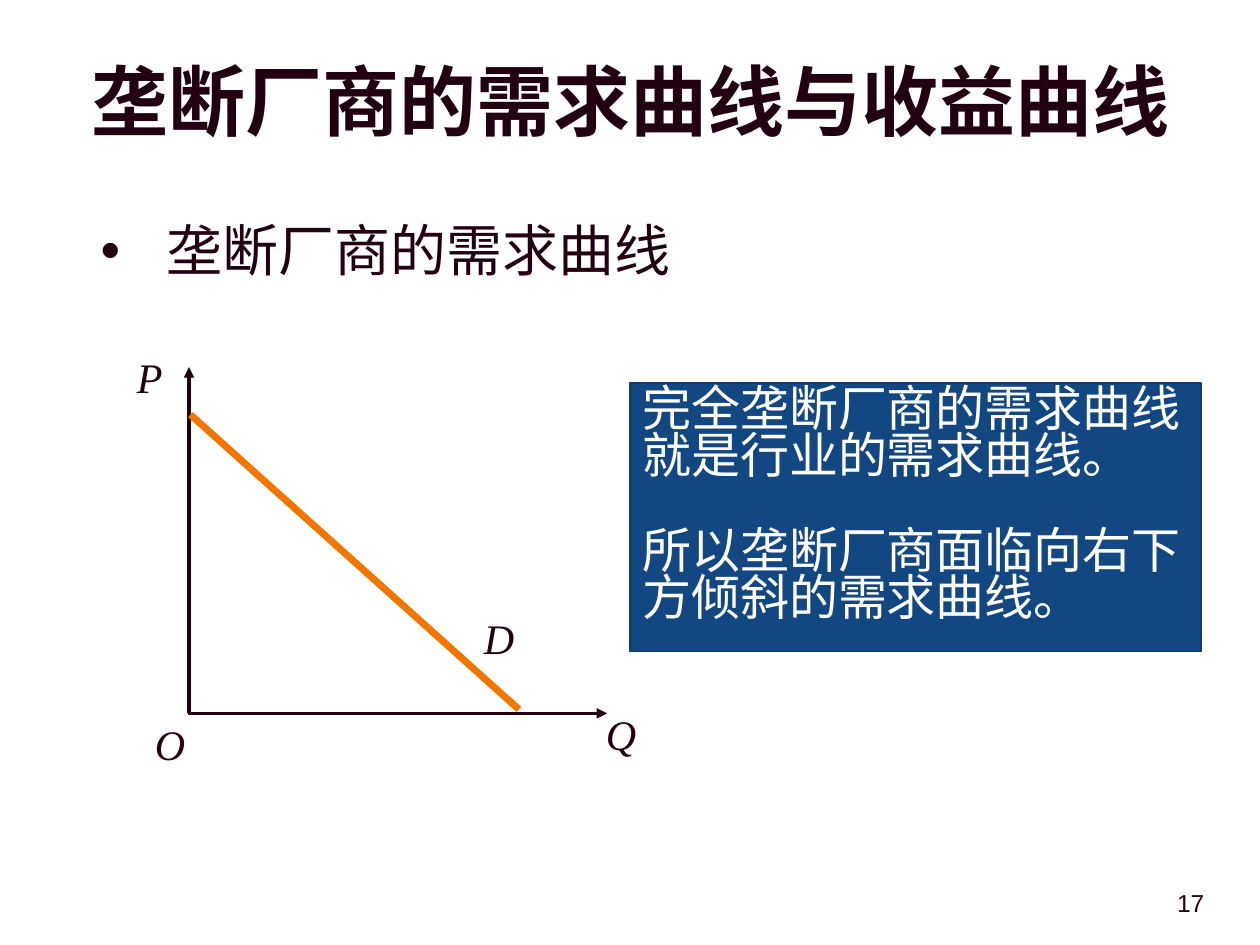
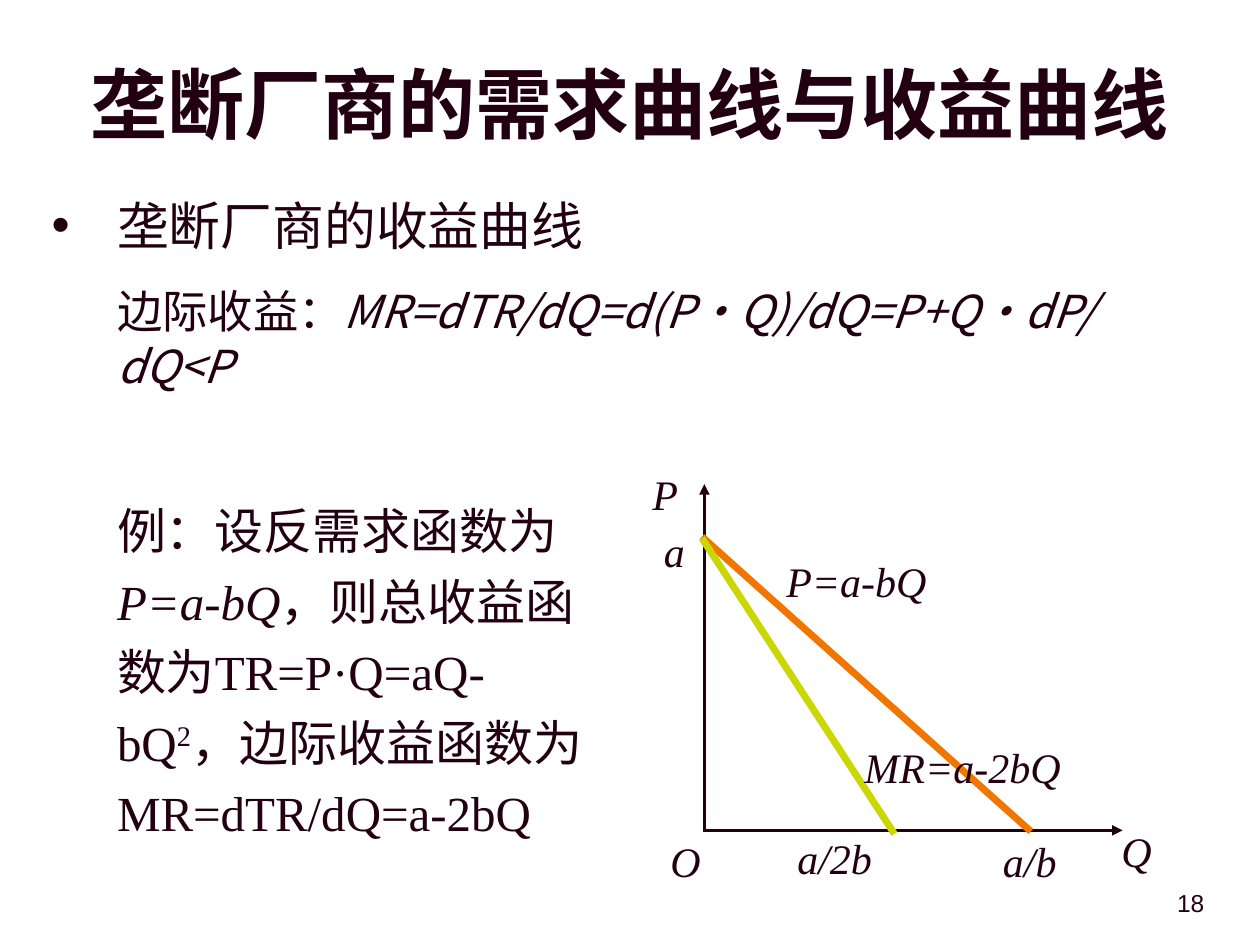
import lxml.etree
import pptx
import pptx.dml.color
import pptx.enum.shapes
import pptx.enum.text
import pptx.oxml.ns
import pptx.util

Cm, Pt = pptx.util.Cm, pptx.util.Pt
color = pptx.dml.color.RGBColor.from_string
qn = pptx.oxml.ns.qn
ALIGN = pptx.enum.text.PP_ALIGN

# Shared colours and text styles
INK, ORANGE, LIME, BLUE, NAVY, WHITE = "220011", "F07600", "CAD704", "134781", "0F3A68", "FFFFFF"
CJK = "Noto Sans CJK SC"
TITLE = "垄断厂商的需求曲线与收益曲线"
TITLE_FONT = {"name": "Arial", "size": Pt(44), "bold": True}
NUMBER_FONT = {"name": "Arial", "size": Pt(14)}
LABEL_FONT = {"name": "Times New Roman", "size": Pt(24), "italic": True}
BODY_FONT = {"name": CJK, "size": Pt(32)}
NOTE_FONT = {"name": CJK, "size": Pt(28)}
EXAMPLE_FONT = {"name": "Times New Roman", "size": Pt(28)}
LABEL_FORMAT = {"alignment": ALIGN.CENTER, "line_spacing": 1.2, "space_before": Pt(15)}
INDENT = Cm(1.32)


def write_text(shape, paragraphs, font, ink=INK, wrap=True):
    """Each paragraph is a format dict and a list of (text, font changes)."""
    frame = shape.text_frame
    frame.word_wrap = wrap
    frame.auto_size = pptx.enum.text.MSO_AUTO_SIZE.NONE
    for index, (paragraph_format, runs) in enumerate(paragraphs):
        paragraph = frame.add_paragraph() if index else frame.paragraphs[0]
        for name, value in paragraph_format.items():
            setattr(paragraph, name, value)
        for text, changes in runs:
            run = paragraph.add_run()
            run.text = text
            for name, value in {**font, **changes}.items():
                setattr(run.font, name, value)
            run.font.color.rgb = color(ink)
            properties = run._r.get_or_add_rPr()
            lxml.etree.SubElement(properties, qn("a:ea")).set("typeface", CJK)
    return frame.paragraphs


def add_line(slide, start, end, ink, width, arrow=False):
    points = [Cm(value) for value in (*start, *end)]
    line = slide.shapes.add_connector(pptx.enum.shapes.MSO_CONNECTOR.STRAIGHT, *points)
    line.line.color.rgb = color(ink)
    line.line.width = Pt(width)
    if arrow:
        outline = line.line._get_or_add_ln()
        lxml.etree.SubElement(outline, qn("a:tailEnd")).set("type", "triangle")
    lxml.etree.SubElement(line._element.spPr, qn("a:effectLst"))


presentation = pptx.Presentation()
presentation.slide_width, presentation.slide_height = Cm(25.4), Cm(19.05)

# Content that differs: title box, page number, origin, curves, labels, body
pages = [
    {
        "title": (1.4, 0.64, 22.63, 2.74),
        "number": "17",
        "origin": (3.78, 14.38),
        "curves": [((3.84, 8.36), (10.46, 14.3), ORANGE)],
        "labels": [("D", 9.5, 12.01, 1.12)],
        "body": (1.78, 4.37, 12.5, 12.7),
        "paragraphs": [
            ({"line_spacing": 0.9, "space_before": Pt(18)}, [("垄断厂商的需求曲线", {})]),
        ],
    },
    {
        "title": (1.3, 0.71, 22.81, 2.74),
        "number": "18",
        "origin": (14.17, 16.74),
        "curves": [
            ((14.15, 10.82), (20.78, 16.76), ORANGE),
            ((14.15, 10.85), (18.03, 16.81), LIME),
        ],
        "labels": [
            ("P=a-bQ", 15.6, 10.87, 3.33),
            ("a", 13.06, 10.26, 1.07),
            ("a/b", 19.81, 16.51, 1.9),
            ("MR=a-2bQ", 17.17, 14.63, 4.47),
            ("a/2b", 15.77, 16.46, 2.11),
        ],
        "body": (0.79, 3.78, 23.62, 4.75),
        "paragraphs": [
            ({"space_before": Pt(18)}, [("垄断厂商的收益曲线", {"size": Pt(29.6)})]),
            ({"space_before": Pt(15.8)}, [
                ("边际收益：", {"size": Pt(25.9)}),
                ("MR=dTR/dQ=d(P·Q)/dQ=P+Q·dP/dQ<P", {"size": Pt(25.9), "italic": True}),
            ]),
        ],
    },
]

slides = []
for page in pages:
    slide = presentation.slides.add_slide(presentation.slide_layouts[5])
    slides.append(slide)

    # Title
    title = slide.shapes.title
    for name, value in zip(("left", "top", "width", "height"), page["title"]):
        setattr(title, name, Cm(value))
    title.text_frame.vertical_anchor = pptx.enum.text.MSO_ANCHOR.MIDDLE
    write_text(title, [({"alignment": ALIGN.CENTER}, [(TITLE, {})])], TITLE_FONT)

    # Body: the first paragraph has a bullet, the rest align with its text
    body = slide.shapes.add_textbox(*map(Cm, page["body"]))
    for index, paragraph in enumerate(write_text(body, page["paragraphs"], BODY_FONT)):
        properties = paragraph._p.get_or_add_pPr()
        properties.set("marL", str(INDENT))
        if index == 0:
            properties.set("indent", str(-INDENT))
            lxml.etree.SubElement(properties, qn("a:buFont")).set("typeface", "Arial")
            lxml.etree.SubElement(properties, qn("a:buChar")).set("char", "•")

    # Axes and curves
    x, y = page["origin"]
    add_line(slide, (x + 0.03, y), (x + 0.03, y - 6.98), INK, 2, arrow=True)
    add_line(slide, (x, y), (x + 8.46, y), INK, 2, arrow=True)
    for start, end, ink in page["curves"]:
        add_line(slide, start, end, ink, 4)

    # Axis and curve labels
    axis_labels = [
        ("Q", x + 8.18, y - 0.42, 1.12),
        ("P", x - 1.27, y - 7.62, 1.02),
        ("O", x - 0.91, y - 0.22, 1.12),
    ]
    for text, left, top, width in axis_labels + page["labels"]:
        label = slide.shapes.add_textbox(Cm(left), Cm(top), Cm(width), Cm(1.47))
        write_text(label, [(LABEL_FORMAT, [(text, {})])], LABEL_FONT, wrap=False)

    # Page number
    number = slide.shapes.add_textbox(Cm(19.25), Cm(17.78), Cm(5.28), Cm(1.27))
    number_format = {"alignment": ALIGN.RIGHT, "space_before": Pt(8.8)}
    write_text(number, [(number_format, [(page["number"], {})])], NUMBER_FONT)

# Blue note on the demand slide
note = slides[0].shapes.add_shape(
    pptx.enum.shapes.MSO_SHAPE.RECTANGLE, Cm(12.7), Cm(7.72), Cm(11.51), Cm(5.41))
note.shadow.inherit = False
note.fill.solid()
note.fill.fore_color.rgb = color(BLUE)
note.line.color.rgb = color(NAVY)
note.line.width = Pt(0.75)
note.text_frame.vertical_anchor = pptx.enum.text.MSO_ANCHOR.TOP
note_format = {"alignment": ALIGN.LEFT, "line_spacing": 0.8}
write_text(note, [
    (note_format, [("完全垄断厂商的需求曲线就是行业的需求曲线。", {})]),
    ({**note_format, "space_before": Pt(27)}, [("所以垄断厂商面临向右下方倾斜的需求曲线。", {})]),
], NOTE_FONT, ink=WHITE)

# Worked example on the revenue slide
example = slides[1].shapes.add_textbox(Cm(2.11), Cm(9.73), Cm(10.11), Cm(7.37))
example_paragraph, = write_text(example, [
    ({"line_spacing": 1.2, "space_before": Pt(15.8)}, [
        ("例：设反需求函数为", {}),
        ("P=a-bQ", {"italic": True}),
        ("，则总收益函数为TR=P·Q=aQ-bQ", {}),
        ("2", {}),
        ("，边际收益函数为MR=dTR/dQ=a-2bQ", {}),
    ]),
], EXAMPLE_FONT)
exponent = example_paragraph.runs[3]
exponent._r.get_or_add_rPr().set("baseline", "30000")

presentation.save("out.pptx")
